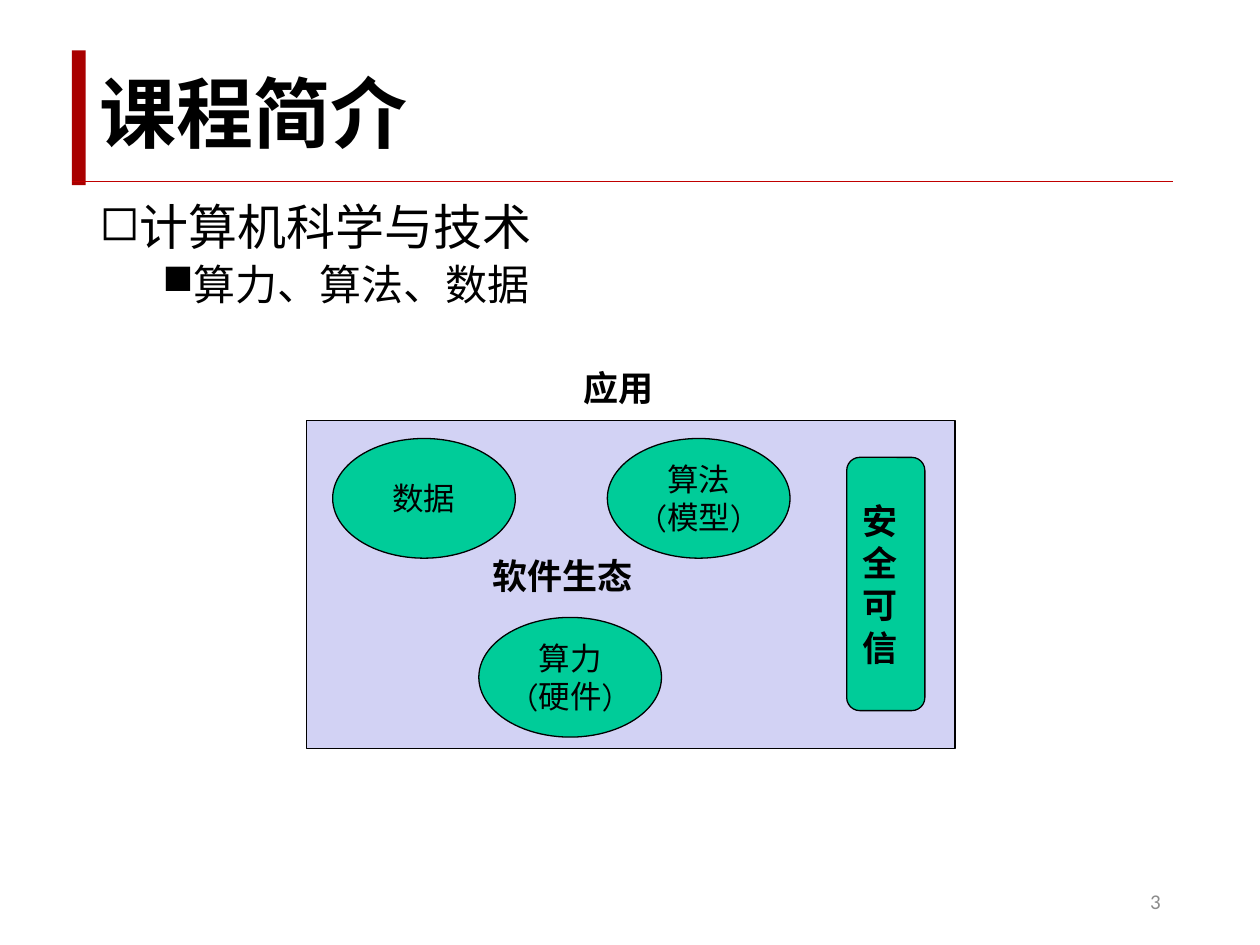
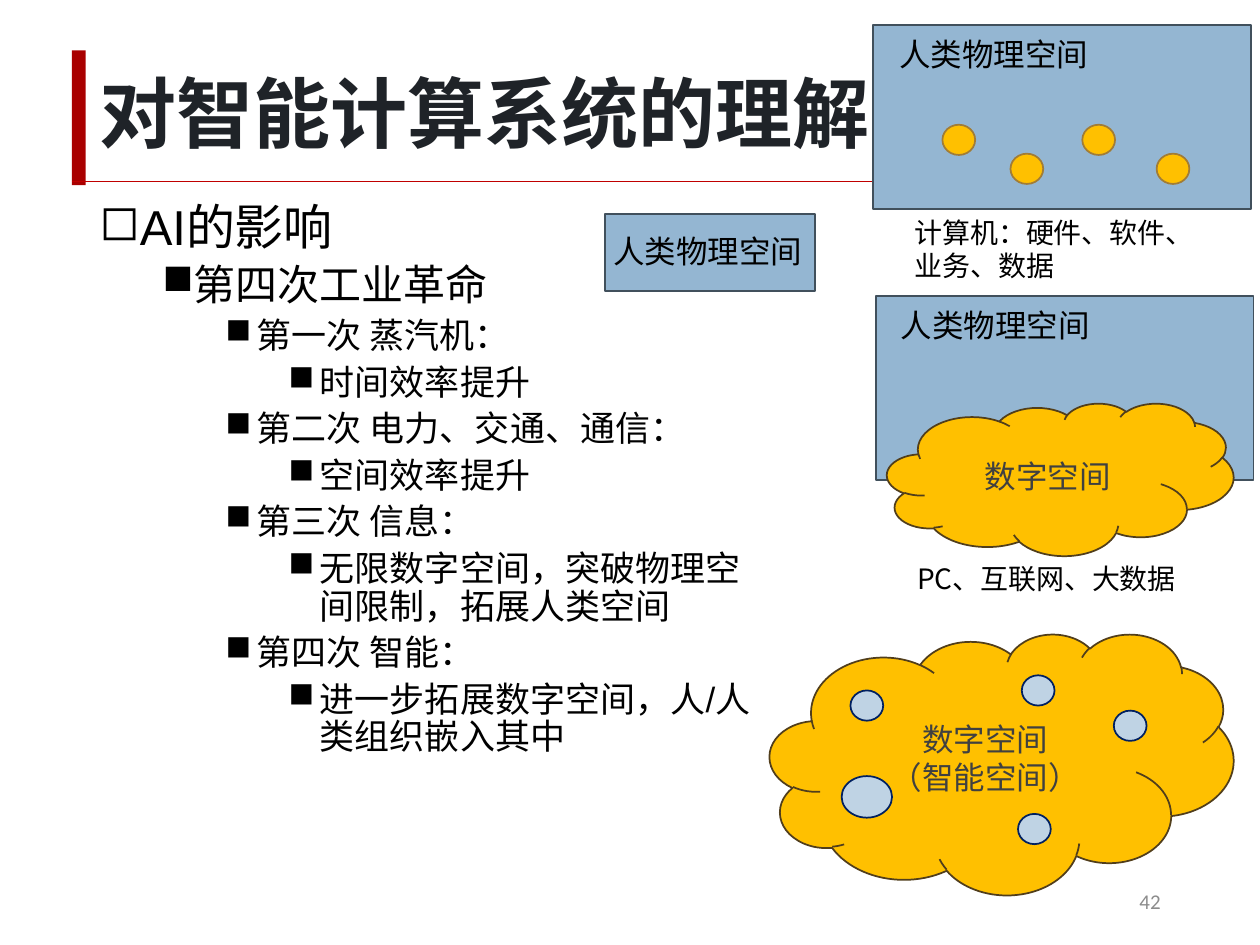
from dataclasses import dataclass

from lxml import etree
from pptx import Presentation
from pptx.dml.color import RGBColor
from pptx.enum.lang import MSO_LANGUAGE_ID
from pptx.enum.shapes import MSO_CONNECTOR, MSO_SHAPE
from pptx.enum.text import MSO_ANCHOR, PP_ALIGN
from pptx.oxml.ns import qn
from pptx.util import Inches, Pt

RECT, ROUNDED = MSO_SHAPE.RECTANGLE, MSO_SHAPE.ROUNDED_RECTANGLE
OVAL, CLOUD = MSO_SHAPE.OVAL, MSO_SHAPE.CLOUD
STRAIGHT = MSO_CONNECTOR.STRAIGHT
TOP, MIDDLE = MSO_ANCHOR.TOP, MSO_ANCHOR.MIDDLE
LEFT, CENTER, RIGHT = PP_ALIGN.LEFT, PP_ALIGN.CENTER, PP_ALIGN.RIGHT
CHINESE = MSO_LANGUAGE_ID.CHINESE_SINGAPORE


@dataclass(frozen=True)
class Style:
    fill: str
    line: str
    width: float = 1


@dataclass(frozen=True)
class Type:
    font: str
    size: int
    color: str = "000000"
    bold: bool = False


class Theme:
    accent = "A90000"
    rule = "C00000"
    ecosystem = Style("D2D2F4", "000000", 0.75)
    element = Style("00CC99", "000000", 0.75)
    physical = Style("94B6D2", "41505C")
    digital = Style("FFC000", "513E1B")
    computer = Style("FFC000", "A17C36")
    human = Style("BFD3E4", "002060")
    title = Type("Arial", 44, bold=True)
    title_soft = Type("Arial", 44, "1F2328", True)
    body = [Type("Arial", size) for size in (28, 24, 20, 20)]
    number = Type("Calibri", 12, "8C8C8C")
    heading = Type("Comic Neue", 20, bold=True)
    label = Type("Comic Neue", 18)
    space = Type("Cabin", 18)
    cloud = Type("Cabin", 18, "404040")
    caption = Type("Noto Sans CJK SC", 16)


TITLE_BOX = (0.69, 0.4, 8.62, 1.07)
NUMBER_BOX = (7.06, 6.95, 2.25, 0.4)


def inches(box):
    return [Inches(round(value, 2)) for value in box]


def style_para(para, kind, align=LEFT):
    para.alignment = align
    for span in para.runs:
        span.font.name = kind.font
        span.font.size = Pt(kind.size)
        span.font.bold = kind.bold
        span.font.color.rgb = RGBColor.from_string(kind.color)
        span.font.language_id = CHINESE


def write(shape, text, kind, align=LEFT, anchor=TOP):
    frame = shape.text_frame
    frame.word_wrap = True
    frame.vertical_anchor = anchor
    frame.text = text
    for para in frame.paragraphs:
        style_para(para, kind, align)


def add_text(page, box, text, kind, align=LEFT, anchor=TOP):
    shape = page.shapes.add_textbox(*inches(box))
    write(shape, text, kind, align, anchor)
    return shape


def add_figure(page, preset, box, style):
    shape = page.shapes.add_shape(preset, *inches(box))
    shape.shadow.inherit = False
    shape.fill.solid()
    shape.fill.fore_color.rgb = RGBColor.from_string(style.fill)
    shape.line.color.rgb = RGBColor.from_string(style.line)
    shape.line.width = Pt(style.width)
    return shape


def add_dots(page, origin, offsets, style):
    left, top = origin
    for across, down in offsets:
        add_figure(page, OVAL, (left + across, top + down, 0.26, 0.24), style)


def add_frame(page, title, number, title_type):
    """Red title bar, rule, title and page number."""
    left, top, width, height = TITLE_BOX
    bar = add_figure(page, RECT, (left - 0.12, top, 0.11, height),
                     Style(Theme.accent, Theme.accent))
    bar.line.fill.background()
    rule = page.shapes.add_connector(
        STRAIGHT, *inches((left - 0.12, top + 1.04, left + width, top + 1.04)))
    rule.line.color.rgb = RGBColor.from_string(Theme.rule)
    rule.line.width = Pt(1)
    etree.SubElement(rule._element.spPr, qn("a:effectLst"))
    heading = add_text(page, TITLE_BOX, title, title_type, anchor=MIDDLE)
    heading.text_frame.paragraphs[0].line_spacing = 0.9
    add_text(page, NUMBER_BOX, str(number), Theme.number, RIGHT, MIDDLE)


def add_outline(page, box, items):
    """Bulleted list of (level, text) pairs."""
    body = page.shapes.add_textbox(*inches(box))
    frame = body.text_frame
    frame.word_wrap = True
    frame.text = "\n".join(text for _, text in items)
    for index, (para, (level, _)) in enumerate(zip(frame.paragraphs, items)):
        para.level = level
        props = para._p.get_or_add_pPr()
        props.set("marL", str(Inches(0.25 + 0.5 * level)))
        props.set("indent", str(Inches(-0.25)))
        bullet = etree.SubElement(props, qn("a:buChar"))
        bullet.set("char", "■" if level else "◻")
        para.line_spacing = 0.9
        para.space_before = Pt(5 if index else 0)
        style_para(para, Theme.body[level])


def add_ecosystem(page, box):
    left, top, width, height = box
    add_figure(page, RECT, box, Theme.ecosystem)
    add_text(page, (left + 2.1, top - 0.48, 2.27, 0.44), "应用", Theme.heading)
    add_text(page, (left + 1.38, top + 1.01, 2.98, 0.44), "软件生态", Theme.heading)
    for across, down, text in ((0.21, 0.14, "数据"),
                               (2.39, 0.14, "算法\n(模型)"),
                               (1.37, 1.56, "算力\n(硬件)")):
        oval = add_figure(page, OVAL, (left + across, top + down, 1.45, 0.95),
                          Theme.element)
        write(oval, text, Theme.label, CENTER, MIDDLE)
    pillar = add_figure(page, ROUNDED, (left + 4.29, top + 0.29, 0.62, 2.01),
                        Theme.element)
    write(pillar, "安全\n可信", Theme.heading, anchor=MIDDLE)


def add_physical_space(page, box, label_offset):
    left, top, width, height = box
    across, down = label_offset
    add_figure(page, RECT, box, Theme.physical)
    add_text(page, (left + across, top + down, 1.94, 0.4), "人类物理空间", Theme.space)


def add_digital_space(page, box, text):
    cloud = add_figure(page, CLOUD, box, Theme.digital)
    write(cloud, text, Theme.cloud, CENTER, MIDDLE)


def add_computer_era(page, box):
    left, top, width, height = box
    add_physical_space(page, box, (0.11, 0.03))
    add_dots(page, (left, top),
             ((0.55, 0.79), (1.09, 1.02), (1.66, 0.79), (2.25, 1.02)),
             Theme.computer)
    add_text(page, (left + 0.23, top + height, 2.54, 0.64),
             "计算机：硬件、软件、业务、数据", Theme.caption)


def add_internet_era(page, box):
    left, top, width, height = box
    add_physical_space(page, box, (0.1, 0.03))
    add_digital_space(page, (left + 0.09, top + 0.85, 2.75, 1.21), "数字空间")
    add_text(page, (left + 0.23, top + 2.06, 2.54, 0.37),
             "PC、互联网、大数据", Theme.caption)


def add_intelligent_era(page, box):
    left, top, width, height = box
    add_digital_space(page, box, "数字空间\n（智能空间）")
    add_dots(page, (left, top),
             ((0.64, 0.45), (2, 0.33), (1.97, 1.43), (2.73, 0.61)), Theme.human)
    add_figure(page, OVAL, (left + 0.57, top + 1.13, 0.4, 0.33), Theme.human)


def build_introduction(page):
    add_frame(page, "课程简介", 3, Theme.title)
    add_outline(page, (0.69, 1.56, 8.62, 5.2),
                [(0, "计算机科学与技术"), (1, "算力、算法、数据")])
    add_ecosystem(page, (2.43, 3.34, 5.15, 2.6))


def build_understanding(page):
    add_frame(page, "对智能计算系统的理解", 42, Theme.title_soft)
    revolutions = (
        ("第一次 蒸汽机：", "时间效率提升"),
        ("第二次 电力、交通、通信：", "空间效率提升"),
        ("第三次 信息：", "无限数字空间，突破物理空间限制，拓展人类空间"),
        ("第四次 智能：", "进一步拓展数字空间，人/人类组织嵌入其中"),
    )
    items = [(0, "AI的影响"), (1, "第四次工业革命")]
    for name, effect in revolutions:
        items += [(2, name), (3, effect)]
    add_outline(page, (0.69, 1.56, 5.47, 5.2), items)
    add_computer_era(page, (6.93, 0.2, 3, 1.46))
    add_internet_era(page, (6.95, 2.35, 3, 1.46))
    add_intelligent_era(page, (6.11, 5.03, 3.68, 2.07))
    add_physical_space(page, (4.8, 1.7, 1.67, 0.61), (-0.03, 0.09))


def main():
    deck = Presentation()
    deck.slide_width, deck.slide_height = Inches(10), Inches(7.5)
    for build in (build_introduction, build_understanding):
        build(deck.slides.add_slide(deck.slide_layouts[6]))
    deck.save("out.pptx")


if __name__ == "__main__":
    main()
